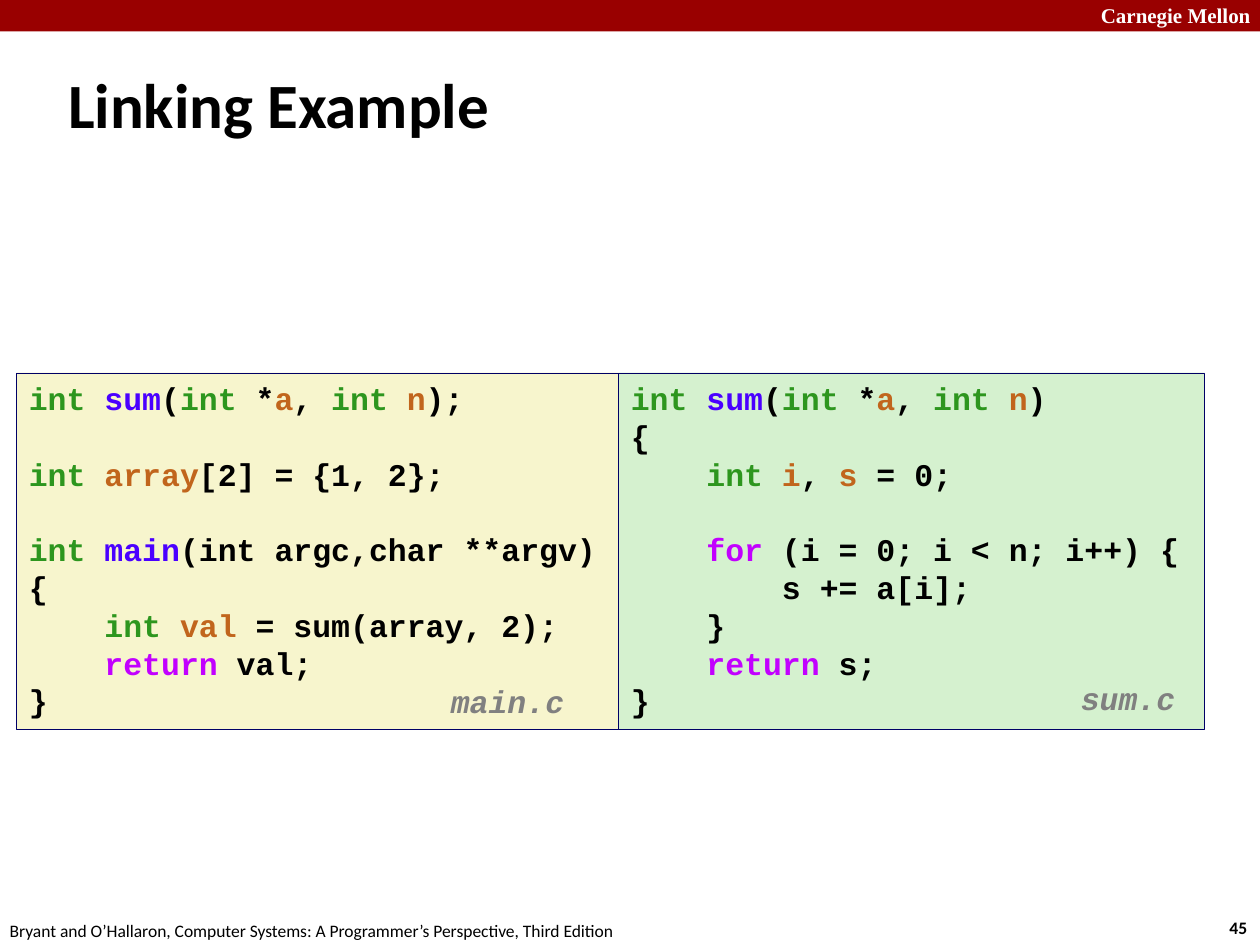
from pptx import Presentation
from pptx.dml.color import RGBColor
from pptx.enum.shapes import MSO_SHAPE
from pptx.enum.text import MSO_ANCHOR, PP_ALIGN
from pptx.util import Pt

SLIDE_WIDTH, SLIDE_HEIGHT = 720, 540
BLACK, GRAY, WHITE, RED, NAVY = "000000", "808080", "FFFFFF", "990000", "000066"
TYPE, FUNCTION, VARIABLE, KEYWORD = "2D961E", "4A00FF", "C1651C", "C200FF"
CODE_FONT, CODE_SIZE, CODE_LINE = "Courier New", 18, 21.6


def color(value):
    return RGBColor.from_string(value)


class SlideBuilder:
    """Holds the text style and the current slide."""

    def __init__(self, presentation, font="Calibri"):
        self.font = font
        self.slide = presentation.slides.add_slide(presentation.slide_layouts[5])

    def format_font(self, font, size, value=BLACK, name=None, bold=False, italic=False):
        font.name = name or self.font
        font.size = Pt(size)
        font.bold = bold
        font.italic = italic
        font.color.rgb = color(value)

    def title(self, text, left, top, width, height):
        shape = self.slide.shapes.title
        shape.left, shape.top = Pt(left), Pt(top)
        shape.width, shape.height = Pt(width), Pt(height)
        text_frame = shape.text_frame
        text_frame.text = text
        text_frame.vertical_anchor = MSO_ANCHOR.MIDDLE
        paragraph = text_frame.paragraphs[0]
        paragraph.alignment = PP_ALIGN.LEFT
        self.format_font(paragraph.runs[0].font, 36, bold=True)

    def rectangle(self, left, top, width, height, fill, line=None):
        shape = self.slide.shapes.add_shape(
            MSO_SHAPE.RECTANGLE, Pt(left), Pt(top), Pt(width), Pt(height))
        shape.shadow.inherit = False
        shape.fill.solid()
        shape.fill.fore_color.rgb = color(fill)
        if line:
            shape.line.color.rgb = color(line)
            shape.line.width = Pt(0.25)
        else:
            shape.line.fill.background()
        return shape

    def label(self, text, left, top, width, height, size, spacing=None, **style):
        shape = self.slide.shapes.add_textbox(Pt(left), Pt(top), Pt(width), Pt(height))
        text_frame = shape.text_frame
        text_frame.text = text
        text_frame.word_wrap = False
        paragraph = text_frame.paragraphs[0]
        paragraph.alignment = PP_ALIGN.LEFT
        if spacing:
            paragraph.line_spacing = spacing
        self.format_font(paragraph.runs[0].font, size, **style)

    def code(self, lines, left, top, width, height, fill):
        """Each line is a list of (text, color) parts; an empty list is a gap."""
        text_frame = self.rectangle(left, top, width, height, fill, NAVY).text_frame
        text_frame.vertical_anchor = MSO_ANCHOR.TOP
        text_frame.word_wrap = False
        paragraph = text_frame.paragraphs[0]
        gap = False
        for number, parts in enumerate(lines):
            if not parts:
                gap = True
                continue
            if number:
                paragraph = text_frame.add_paragraph()
            paragraph.alignment = PP_ALIGN.LEFT
            if gap:
                paragraph.space_before = Pt(CODE_LINE)
                gap = False
            for text, value in parts:
                run = paragraph.add_run()
                run.text = text
                self.format_font(run.font, CODE_SIZE, value, CODE_FONT, bold=True)


# Code listings
INDENT = ("    ", BLACK)
OPEN, CLOSE = [("{", BLACK)], [("}", BLACK)]
SUM_SIGNATURE = [
    ("int ", TYPE), ("sum", FUNCTION), ("(", BLACK), ("int", TYPE), (" *", BLACK),
    ("a", VARIABLE), (", ", BLACK), ("int ", TYPE), ("n", VARIABLE)]
MAIN_CODE = [
    SUM_SIGNATURE + [(");", BLACK)],
    [],
    [("int ", TYPE), ("array", VARIABLE), ("[2] = {1, 2};", BLACK)],
    [],
    [("int ", TYPE), ("main", FUNCTION), ("(int argc,char **argv)", BLACK)],
    OPEN,
    [INDENT, ("int ", TYPE), ("val", VARIABLE), (" = sum(array, 2);", BLACK)],
    [INDENT, ("return", KEYWORD), (" val;", BLACK)],
    CLOSE,
]
SUM_CODE = [
    SUM_SIGNATURE + [(")", BLACK)],
    OPEN,
    [INDENT, ("int ", TYPE), ("i", VARIABLE), (", ", BLACK), ("s", VARIABLE),
     (" = 0;", BLACK)],
    [],
    [INDENT, ("for", KEYWORD), (" (i = 0; i < n; i++) {", BLACK)],
    [("        s += a[i];", BLACK)],
    [("    }", BLACK)],
    [INDENT, ("return", KEYWORD), (" s;", BLACK)],
    CLOSE,
]


def main():
    presentation = Presentation()
    presentation.slide_width = Pt(SLIDE_WIDTH)
    presentation.slide_height = Pt(SLIDE_HEIGHT)
    builder = SlideBuilder(presentation)

    # Header band, footer and title
    builder.rectangle(0, 0, SLIDE_WIDTH, 18, RED)
    builder.label("Carnegie Mellon", 622, -2, 103, 21.6, 12,
                  value=WHITE, name="Times New Roman", bold=True)
    builder.label("45", 695.5, 520.5, 26.6, 19.5, 10, bold=True)
    builder.label("Bryant and O’Hallaron, Computer Systems: "
                  "A Programmer’s Perspective, Third Edition",
                  -1.5, 522, 366, 19.5, 10)
    builder.title("Linking Example", 31.7, 28, 686, 62)

    # Adjoining code panels with their file names
    panel_left, panel_top, panel_height = 9.4, 213, 204
    main_width, sum_width = 344, 335
    file_style = {"value": GRAY, "name": CODE_FONT, "bold": True, "italic": True}
    builder.code(MAIN_CODE, panel_left, panel_top, main_width, panel_height, "F7F5CD")
    builder.label("main.c", 250.5, 388, 79, 28, CODE_SIZE, 0.94, **file_style)
    builder.code(SUM_CODE, panel_left + main_width, panel_top, sum_width,
                 panel_height, "D5F1CF")
    builder.label("sum.c", 610.5, 386.5, 73.5, 28, CODE_SIZE, 0.94, **file_style)

    presentation.save("out.pptx")


if __name__ == "__main__":
    main()
